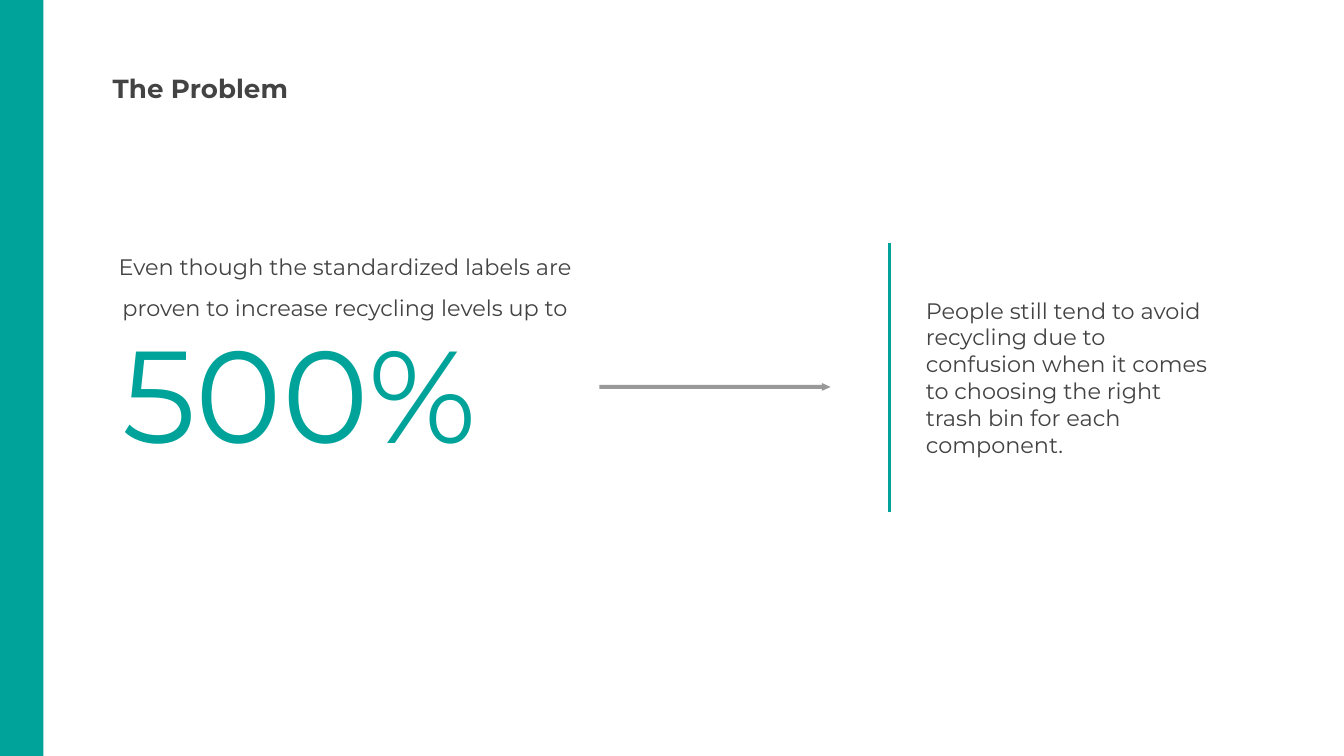
"""Build the slide "The Problem" about confusion over recycling labels."""
from lxml import etree
from pptx import Presentation
from pptx import util as u
from pptx.dml.color import RGBColor
from pptx.enum import shapes, text
from pptx.oxml.ns import qn

TEAL, DARK, GREY = "00A399", "434343", "999999"
FONT = "Montserrat"


def paint(target, colour):
    target.solid()
    target.fore_color.rgb = RGBColor.from_string(colour)


deck = Presentation()
deck.slide_width, deck.slide_height = u.Cm(25.4), u.Cm(14.29)
page = deck.slides.add_slide(deck.slide_layouts[6])
paint(page.background.fill, "FFFFFF")

left, centre = text.PP_ALIGN.LEFT, text.PP_ALIGN.CENTER
texts = [
    ("The Problem", (1.88, 1.12, 18.06, 1.12), 14, DARK, True, left, 1.0),
    ("Even though the standardized labels are proven to increase recycling levels up to",
     (1.37, 4.29, 10.31, 1.8), 12, DARK, False, centre, 1.5),
    ("500%", (2.06, 5.66, 8.38, 3.51), 70, TEAL, False, left, 1.0),
    ("People still tend to avoid recycling due to confusion when it comes to choosing "
     "the right trash bin for each component.",
     (17.25, 5.36, 5.82, 3.58), 12, DARK, False, left, 1.0),
]
for wording, place, size, colour, bold, align, spacing in texts:
    box = page.shapes.add_textbox(*map(u.Cm, place))
    frame = box.text_frame
    frame.word_wrap = True
    frame.auto_size = text.MSO_AUTO_SIZE.SHAPE_TO_FIT_TEXT
    frame.margin_left = frame.margin_right = u.Cm(0.25)
    frame.margin_top = frame.margin_bottom = u.Cm(0.25)
    para = frame.paragraphs[0]
    para.alignment = align
    para.line_spacing = spacing
    span = para.add_run()
    span.text = wording
    span.font.name = FONT
    span.font.size = u.Pt(size)
    span.font.bold = bold
    paint(span.font.fill, colour)

blocks = [
    (shapes.MSO_SHAPE.RIGHT_ARROW, (11.33, 7.24, 4.37, 0.15), GREY, [0.5, 1.12]),
    (shapes.MSO_SHAPE.RECTANGLE, (0, 0, 0.82, 14.29), TEAL, []),
]
for kind, place, colour, adjustments in blocks:
    block = page.shapes.add_shape(kind, *map(u.Cm, place))
    block.shadow.inherit = False
    paint(block.fill, colour)
    block.line.fill.background()
    for index, value in enumerate(adjustments):
        block.adjustments[index] = value

divider = page.shapes.add_connector(
    shapes.MSO_CONNECTOR.STRAIGHT, u.Cm(16.81), u.Cm(4.6), u.Cm(16.81), u.Cm(9.68))
paint(divider.line.fill, TEAL)
divider.line.width = u.Pt(1.5)
etree.SubElement(divider._element.spPr, qn("a:effectLst"))

deck.save("out.pptx")
